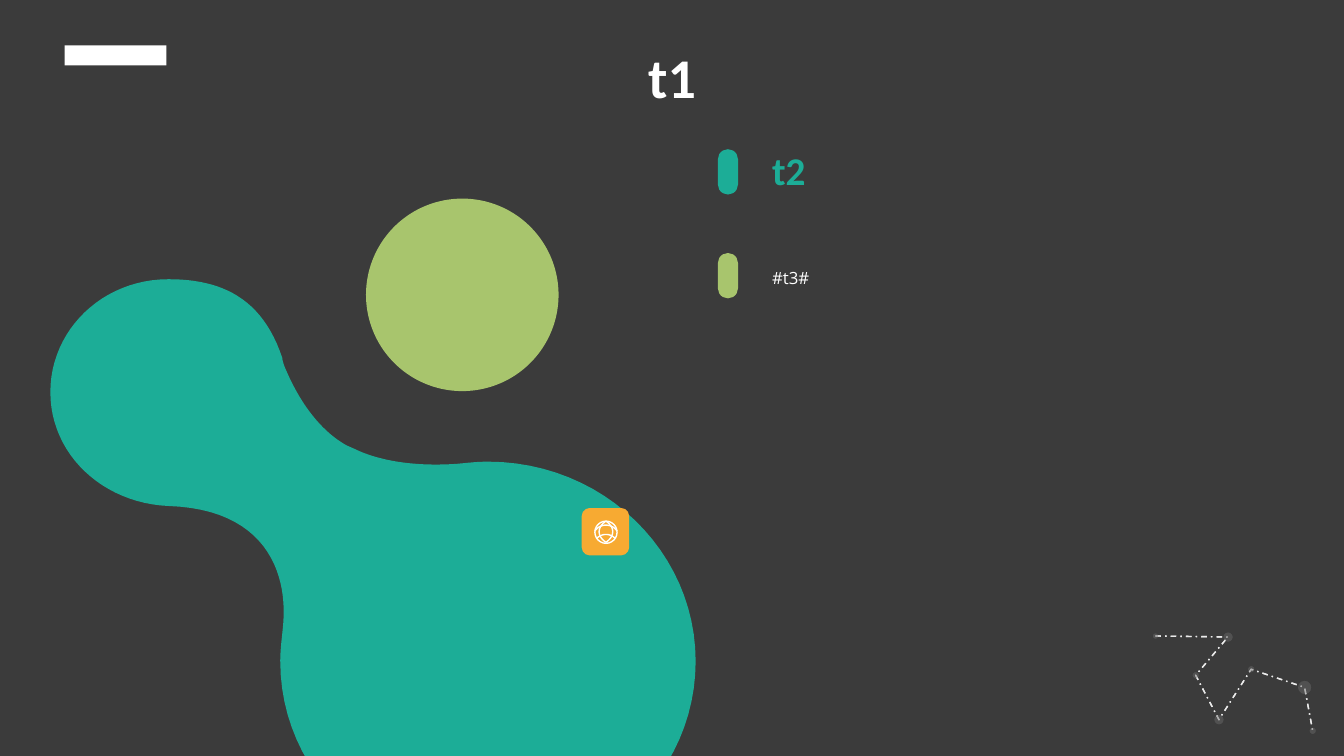
from dataclasses import dataclass
from typing import Optional

from lxml.etree import SubElement
from pptx import Presentation
from pptx.dml.color import RGBColor
from pptx.enum.dml import MSO_LINE
from pptx.enum.shapes import MSO_SHAPE
from pptx.enum.text import MSO_ANCHOR, MSO_AUTO_SIZE, PP_ALIGN
from pptx.oxml.ns import qn
from pptx.shapes.autoshape import Shape
from pptx.slide import Slide
from pptx.text.text import _Paragraph as Paragraph
from pptx.util import Inches, Pt

DARK = RGBColor(0x3B, 0x3B, 0x3B)
WHITE = RGBColor(0xFF, 0xFF, 0xFF)
TEAL = RGBColor(0x1C, 0xAD, 0x97)
GREEN = RGBColor(0xA8, 0xC5, 0x6D)
ORANGE = RGBColor(0xF7, 0xAA, 0x32)
LIGHT = RGBColor(0xD8, 0xD8, 0xD8)
PALE = RGBColor(0xEB, 0xEB, 0xEB)
BLACK = RGBColor(0x1E, 0x1E, 0x1E)

Point = tuple[float, float]
Curve = tuple[float, float, float, float, float, float]


@dataclass
class Star:
    x: float
    y: float
    size: float


@dataclass
class Item:
    text: str
    pill_top: float
    pill_color: RGBColor
    top: float
    height: float
    font: str
    size: int
    color: RGBColor
    bold: bool
    anchor: MSO_ANCHOR
    spacing: float


STARS = [
    Star(11.46, 6.31, 0.05), Star(12.18, 6.32, 0.09), Star(11.86, 6.7, 0.06),
    Star(12.09, 7.14, 0.09), Star(12.41, 6.64, 0.06), Star(12.94, 6.82, 0.13),
    Star(13.02, 7.25, 0.06),
]
STAR_LAYERS = [(LIGHT, LIGHT), (PALE, BLACK)]

ITEMS = [
    Item("t2", 1.48, TEAL, 1.4, 0.57, "Calibri", 28, TEAL, True, MSO_ANCHOR.MIDDLE, 1.0),
    Item("#t3#", 2.51, GREEN, 2.51, 0.37, "Open Sans", 12, WHITE, False, MSO_ANCHOR.TOP, 1.5),
]

# Each curve: two control points, then the end point
BLOB_START = (4.84, 4.58)
BLOB = [
    (4.74, 4.58, 4.65, 4.59, 4.55, 4.6),
    (4.15, 4.63, 3.83, 4.58, 3.6, 4.49),
    (3.55, 4.47, 3.49, 4.44, 3.44, 4.42),
    (3.08, 4.22, 2.89, 3.8, 2.82, 3.63),
    (2.81, 3.6, 2.8, 3.57, 2.8, 3.55),
    (2.6, 2.95, 2.19, 2.77, 1.67, 2.77),
    (1.02, 2.77, 0.5, 3.27, 0.5, 3.89),
    (0.5, 4.51, 1.02, 4.99, 1.67, 5.02),
    (2.62, 5.05, 2.85, 5.66, 2.81, 6.18),
    (2.8, 6.31, 2.78, 6.43, 2.78, 6.56),
    (2.78, 7.66, 3.7, 8.55, 4.84, 8.55),
    (5.98, 8.55, 6.9, 7.66, 6.9, 6.56),
    (6.9, 5.47, 5.98, 4.58, 4.84, 4.58),
]

GLOBE_ARCS = [
    ((6.01, 5.17), (5.92, 5.23, 5.92, 5.32, 6.01, 5.38)),
    ((6.01, 5.17), (6.1, 5.23, 6.1, 5.32, 6.01, 5.38)),
    ((5.9, 5.27), (5.95, 5.19, 6.07, 5.19, 6.12, 5.27)),
    ((5.92, 5.34), (5.97, 5.29, 6.05, 5.29, 6.1, 5.34)),
]


def trace(start: Point, curves: list[Curve], steps: int = 24) -> list[Point]:
    """Turn a chain of cubic curves into points."""
    points = [start]
    for x1, y1, x2, y2, x3, y3 in curves:
        x0, y0 = points[-1]
        for i in range(1, steps + 1):
            t = i / steps
            u = 1 - t
            a, b, c, d = u ** 3, 3 * u * u * t, 3 * u * t * t, t ** 3
            points.append((a * x0 + b * x1 + c * x2 + d * x3,
                           a * y0 + b * y1 + c * y2 + d * y3))
    return points


def style(sp: Shape, fill: Optional[RGBColor] = None,
          line: Optional[RGBColor] = None) -> Shape:
    sp.shadow.inherit = False
    if fill is None:
        sp.fill.background()
    else:
        sp.fill.solid()
        sp.fill.fore_color.rgb = fill
    if line is None:
        sp.line.fill.background()
    else:
        sp.line.color.rgb = line
        sp.line.width = Pt(1)
    return sp


def add_preset(s: Slide, kind: MSO_SHAPE, x: float, y: float, w: float, h: float,
               fill: Optional[RGBColor] = None, line: Optional[RGBColor] = None) -> Shape:
    sp = s.shapes.add_shape(kind, Inches(x), Inches(y), Inches(w), Inches(h))
    return style(sp, fill, line)


def add_outline(s: Slide, points: list[Point], fill: Optional[RGBColor] = None,
                line: Optional[RGBColor] = None) -> Shape:
    emu = [(Inches(x), Inches(y)) for x, y in points]
    builder = s.shapes.build_freeform(*emu[0])
    builder.add_line_segments(emu[1:], close=fill is not None)
    return style(builder.convert_to_shape(), fill, line)


def add_run(p: Paragraph, text: str, font: str, size: int, color: RGBColor, bold: bool) -> None:
    r = p.add_run()
    r.text = text
    r.font.name = font
    r.font.size = Pt(size)
    r.font.color.rgb = color
    r.font.bold = bold


def add_constellation(s: Slide, line: RGBColor, dot: RGBColor) -> None:
    path = add_outline(s, [(star.x, star.y) for star in STARS], line=line)
    path.line.dash_style = MSO_LINE.DASH_DOT
    for star in STARS:
        half = star.size / 2
        sp = add_preset(s, MSO_SHAPE.OVAL, star.x - half, star.y - half,
                        star.size, star.size, dot)
        color = sp.element.spPr.find(qn("a:solidFill")).find(qn("a:srgbClr"))
        SubElement(color, qn("a:alpha")).set("val", "28000")


def add_item(s: Slide, item: Item) -> None:
    pill = add_preset(s, MSO_SHAPE.ROUNDED_RECTANGLE, 7.12, item.pill_top, 0.2, 0.45,
                      item.pill_color)
    pill.adjustments[0] = 0.5
    box = s.shapes.add_textbox(Inches(7.56), Inches(item.top), Inches(5.28), Inches(item.height))
    tf = box.text_frame
    tf.word_wrap = True
    tf.auto_size = MSO_AUTO_SIZE.SHAPE_TO_FIT_TEXT
    tf.vertical_anchor = item.anchor
    p = tf.paragraphs[0]
    p.line_spacing = item.spacing
    add_run(p, item.text, item.font, item.size, item.color, item.bold)


def add_title(s: Slide) -> None:
    title = s.shapes.title
    title.left, title.top = Inches(2.54), Inches(0.31)
    title.width, title.height = Inches(8.25), Inches(0.89)
    tf = title.text_frame
    tf.auto_size = MSO_AUTO_SIZE.NONE
    tf.vertical_anchor = MSO_ANCHOR.MIDDLE
    p = tf.paragraphs[0]
    p.alignment = PP_ALIGN.CENTER
    p.space_before = Pt(10)
    add_run(p, "t1", "Calibri", 40, WHITE, True)


def main() -> None:
    prs = Presentation()
    prs.slide_width, prs.slide_height = Inches(13.33), Inches(7.5)
    s = prs.slides.add_slide(prs.slide_layouts[5])
    s.background.fill.solid()
    s.background.fill.fore_color.rgb = DARK

    # Corner decoration and logo placeholder
    for line, dot in STAR_LAYERS:
        add_constellation(s, line, dot)
    add_preset(s, MSO_SHAPE.RECTANGLE, 0.64, 0.45, 1.01, 0.2, WHITE)

    # Blob and circle
    add_outline(s, trace(BLOB_START, BLOB), fill=TEAL)
    add_preset(s, MSO_SHAPE.OVAL, 3.63, 1.97, 1.91, 1.91, GREEN)

    # Title and items
    add_title(s)
    for item in ITEMS:
        add_item(s, item)

    # Globe badge
    add_preset(s, MSO_SHAPE.ROUNDED_RECTANGLE, 5.77, 5.04, 0.47, 0.47, ORANGE)
    add_preset(s, MSO_SHAPE.OVAL, 5.9, 5.17, 0.22, 0.22, line=WHITE)
    for start, curve in GLOBE_ARCS:
        add_outline(s, trace(start, [curve]), line=WHITE)

    prs.save("out.pptx")


if __name__ == "__main__":
    main()
